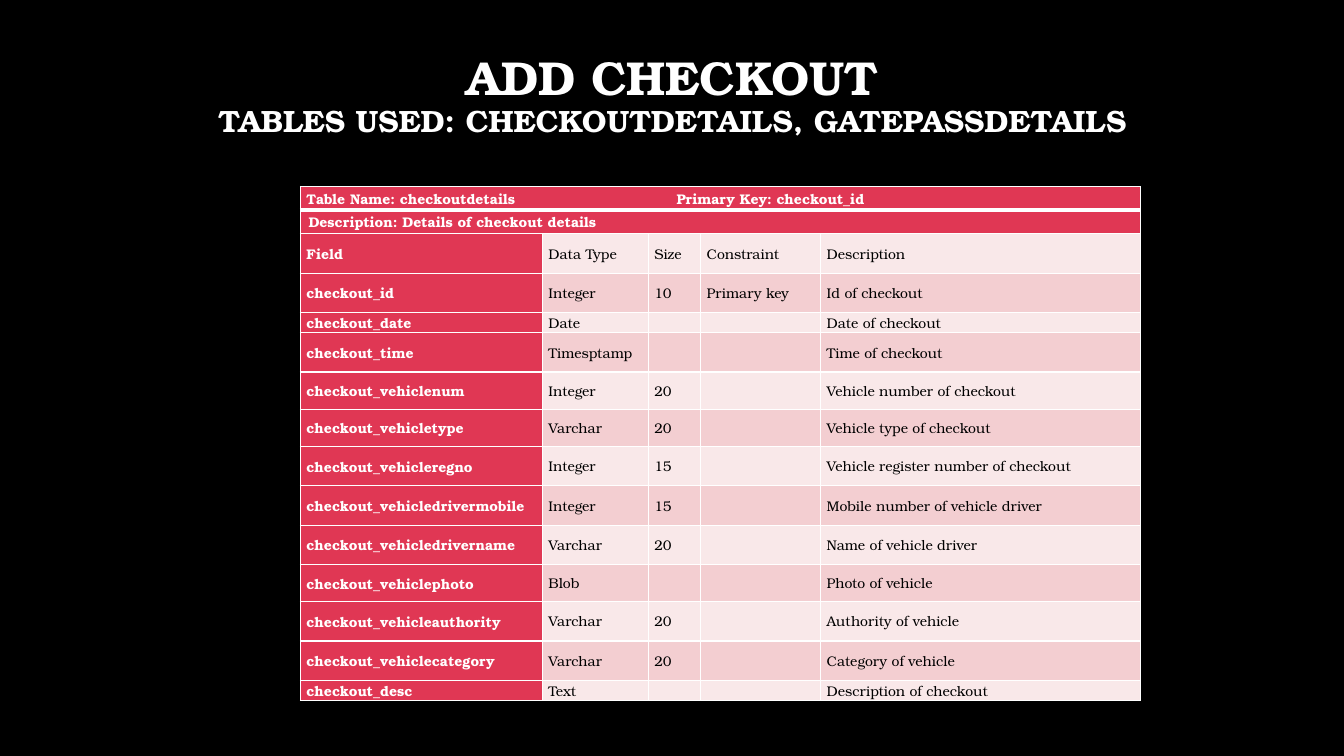
from typing import NamedTuple
from lxml.etree import SubElement
from pptx import Presentation
from pptx.dml.color import RGBColor
from pptx.enum.text import MSO_ANCHOR, PP_ALIGN
from pptx.oxml.ns import qn
from pptx.util import Inches, Pt

FACE = "TeX Gyre Bonum"
HUES = {"black": "000000", "white": "FFFFFF", "red": "E03754",
        "light": "F9E8E9", "pink": "F3CED1"}
COLS = (2.4, 1.05, 0.52, 1.19, 3.17)


class Field(NamedTuple):
    name: str
    kind: str
    size: str
    rule: str
    note: str
    high: float = 0.39


HEADS = (("Table Name: checkoutdetails\tPrimary Key: checkout_id", 0.23),
         ("Description: Details of checkout details", 0.24))
FIELDS = (
    Field("Field", "Data Type", "Size", "Constraint", "Description"),
    Field("checkout_id", "Integer", "10", "Primary key", "Id of checkout"),
    Field("checkout_date", "Date", "", "", "Date of checkout", 0.19),
    Field("checkout_time", "Timesptamp", "", "", "Time of checkout"),
    Field("checkout_vehiclenum", "Integer", "20", "", "Vehicle number of checkout", 0.37),
    Field("checkout_vehicletype", "Varchar", "20", "", "Vehicle type of checkout", 0.37),
    Field("checkout_vehicleregno", "Integer", "15", "", "Vehicle register number of checkout"),
    Field("checkout_vehicledrivermobile", "Integer", "15", "", "Mobile number of vehicle driver"),
    Field("checkout_vehicledrivername", "Varchar", "20", "", "Name of vehicle driver"),
    Field("checkout_vehiclephoto", "Blob", "", "", "Photo of vehicle", 0.37),
    Field("checkout_vehicleauthority", "Varchar", "20", "", "Authority of vehicle"),
    Field("checkout_vehiclecategory", "Varchar", "20", "", "Category of vehicle"),
    Field("checkout_desc", "Text", "", "", "Description of checkout", 0.19),
)


def color(name: str) -> RGBColor:
    return RGBColor.from_string(HUES[name])


def edge(cell, top: float = 1, base: float = 1) -> None:
    props = cell._tc.get_or_add_tcPr()
    for side, width in zip("LRTB", (1, 1, top, base)):
        line = SubElement(props, qn(f"a:ln{side}"), w=str(Pt(width)))
        fill = SubElement(line, qn("a:solidFill"))
        SubElement(fill, qn("a:srgbClr"), val=HUES["white"])


def style(cell, text: str, fill: str, head: bool) -> None:
    cell.fill.solid()
    cell.fill.fore_color.rgb = color(fill)
    cell.vertical_anchor = MSO_ANCHOR.MIDDLE
    cell.margin_left = cell.margin_right = Inches(0.06)
    cell.margin_top = cell.margin_bottom = 0
    para = cell.text_frame.paragraphs[0]
    if text:
        para.text = text
    else:
        SubElement(para._p, qn("a:endParaRPr"), sz="1000")
    if "\t" in text:
        tabs = SubElement(para._p.get_or_add_pPr(), qn("a:tabLst"))
        SubElement(tabs, qn("a:tab"), pos=str(Inches(3.67)), algn="l")
    font = para.font
    font.name, font.size, font.bold = FACE, Pt(10), head
    font.color.rgb = color("white" if head else "black")


def add_title(slide) -> None:
    title = slide.shapes.title
    title.left, title.top = Inches(1.01), Inches(0.4)
    title.width, title.height = Inches(11.32), Inches(1.45)
    frame = title.text_frame
    frame.word_wrap = True
    frame.vertical_anchor = MSO_ANCHOR.MIDDLE
    frame.margin_bottom = Inches(0.38)
    para = frame.paragraphs[0]
    para.alignment, para.line_spacing = PP_ALIGN.CENTER, 0.9
    para.font.name, para.font.bold = FACE, True
    para.font.color.rgb = color("white")
    main = para.add_run()
    main.text, main.font.size = "ADD CHECKOUT", Pt(34)
    para.add_line_break()
    sub = para.add_run()
    sub.text = "TABLES USED: CHECKOUTDETAILS, GATEPASSDETAILS"
    sub.font.size = Pt(22)


def add_grid(slide) -> None:
    highs = [high for _, high in HEADS] + [field.high for field in FIELDS]
    frame = slide.shapes.add_table(
        len(highs), len(COLS), Inches(2.98), Inches(1.85),
        Inches(sum(COLS)), Inches(sum(highs)))
    table = frame.table
    table.first_row = table.horz_banding = False
    for col, width in zip(table.columns, COLS):
        col.width = Inches(width)
    for row, high in zip(table.rows, highs):
        row.height = Inches(high)
    for row, (text, _) in enumerate(HEADS):
        for col in range(len(COLS)):
            cell = table.cell(row, col)
            edge(cell, top=3 if row else 1, base=1 if row else 3)
            style(cell, "" if col else text, "red", True)
        table.cell(row, 0).merge(table.cell(row, len(COLS) - 1))
    about = table.cell(1, 0).text_frame.paragraphs[0]
    about._p.get_or_add_pPr().set("indent", str(Inches(0.02)))
    for row, field in enumerate(FIELDS):
        band = "pink" if row % 2 else "light"
        for col, text in enumerate(field[:len(COLS)]):
            cell = table.cell(row + len(HEADS), col)
            edge(cell)
            style(cell, text, band if col else "red", col == 0)


def main() -> None:
    """Build the checkout table slide."""
    deck = Presentation()
    deck.slide_width, deck.slide_height = Inches(13.33), Inches(7.5)
    slide = deck.slides.add_slide(deck.slide_layouts[5])
    slide.background.fill.solid()
    slide.background.fill.fore_color.rgb = color("black")
    add_title(slide)
    add_grid(slide)
    deck.save("out.pptx")


if __name__ == "__main__":
    main()
